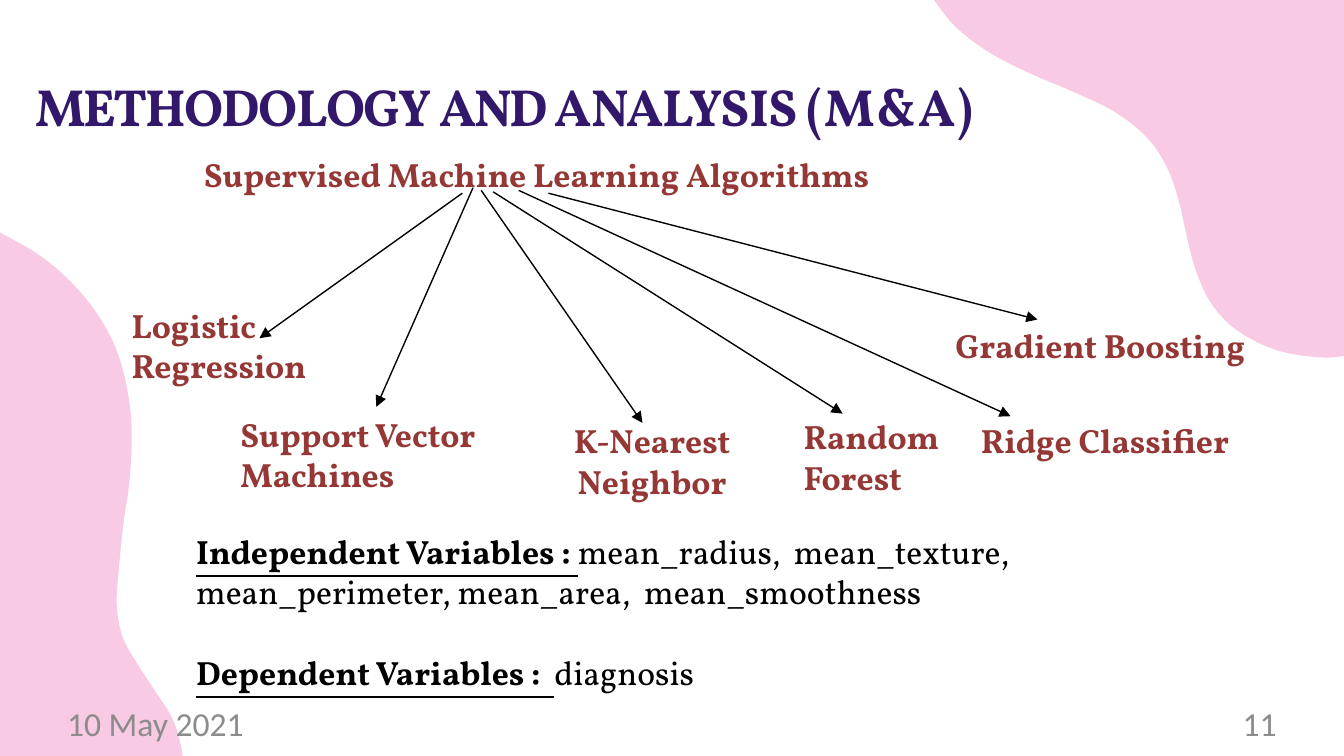
from lxml import etree
from pptx import Presentation
from pptx.dml.color import RGBColor
from pptx.enum.shapes import MSO_CONNECTOR
from pptx.enum.text import MSO_ANCHOR, MSO_AUTO_SIZE, PP_ALIGN
from pptx.oxml.ns import qn
from pptx.util import Pt

STRAIGHT = MSO_CONNECTOR.STRAIGHT
TOP = MSO_ANCHOR.TOP
NO_FIT, GROW = MSO_AUTO_SIZE.NONE, MSO_AUTO_SIZE.SHAPE_TO_FIT_TEXT
LEFT, CENTER, RIGHT = PP_ALIGN.LEFT, PP_ALIGN.CENTER, PP_ALIGN.RIGHT

PINK = RGBColor(0xF9, 0xCA, 0xE3)
PURPLE = RGBColor(0x31, 0x18, 0x6B)
BRICK = RGBColor(0x95, 0x37, 0x35)
GRAY = RGBColor(0x8C, 0x8C, 0x8C)
BLACK = RGBColor(0, 0, 0)

WIDTH, HEIGHT = 720, 405
SERIF, SANS = "Vollkorn", "Calibri"
BODY_SIZE = 18
LINE_HEIGHT = 21.7

RIGHT_WAVE = [(500.4, 0), (511.9, 14.4), (529.9, 28.1), (550.8, 38.9),
              (576, 49.7), (596.9, 59.8), (614.2, 73.4), (625, 89.3),
              (631.4, 107.3), (635.8, 126.7), (640.8, 145.4), (649.4, 163.4),
              (663.8, 177.8), (684.7, 187.9), (707, 191.5), (720, 190.8)]
LEFT_WAVE = [(0, 124.6), (20.2, 136.1), (38.2, 151.2), (53.3, 169.9),
             (63.4, 190.1), (69.1, 213.8), (70.6, 235.4), (69.1, 260.6),
             (66.2, 280.1), (63.4, 308.2), (62.6, 324.7), (65.5, 340.6),
             (72.7, 354.2), (83.5, 370.8), (92.2, 384.5), (96.5, 397.4),
             (97.9, 405)]

# name, label offset, label size, alignment, arrow start, arrow end
ALGORITHMS = [
    ("Logistic Regression", (3.4, 80.8), (124, 51), LEFT,
     (187.7, 24.7), (79, 102.4)),
    ("Support Vector Machines", (61.7, 139.2), (160.6, 51), LEFT,
     (193.4, 21.8), (141.6, 139.2)),
    ("K-Nearest Neighbor", (235.3, 142.8), (108, 51), CENTER,
     (197.8, 23.2), (284.2, 147.8)),
    ("Random Forest", (363.4, 140.6), (105.8, 51), LEFT,
     (204.2, 24), (391.4, 142.8)),
    ("Ridge Classifier", (458.4, 142.8), (159.8, 29), LEFT,
     (217.9, 23.2), (481.4, 144.2)),
    ("Gradient Boosting", (444.7, 91.6), (179.3, 29), LEFT,
     (233.8, 24.7), (495.8, 92.4)),
]

VARIABLES = [
    ("Independent Variables : ",
     "mean_radius,  mean_texture,  mean_perimeter, mean_area,  mean_smoothness"),
    ("Dependent Variables :  ", "diagnosis"),
]


def smooth(points, steps=4):
    """Return points on a Catmull-Rom curve through the given points."""
    padded = [points[0], *points, points[-1]]
    curve = [points[0]]
    for a, b, c, d in zip(padded, padded[1:], padded[2:], padded[3:]):
        for i in range(1, steps + 1):
            t = i / steps
            curve.append(tuple(
                (2 * q + (r - p) * t + (2 * p - 5 * q + 4 * r - s) * t ** 2
                 + (3 * q - p - 3 * r + s) * t ** 3) / 2
                for p, q, r, s in zip(a, b, c, d)))
    return curve


def add_wave(slide, edge, corner):
    """Fill the area between a wavy edge and a slide corner."""
    outline = [(Pt(x), Pt(y)) for x, y in smooth(edge) + [corner]]
    builder = slide.shapes.build_freeform(*outline[0])
    builder.add_line_segments(outline[1:], close=True)
    sp = builder.convert_to_shape()
    sp.shadow.inherit = False
    sp.fill.solid()
    sp.fill.fore_color.rgb = PINK
    sp.line.fill.background()


def set_font(p, size, color, name=SERIF, bold=None):
    p.font.size = Pt(size)
    p.font.name = name
    p.font.color.rgb = color
    p.font.bold = bold


def set_margins(tf, top=0):
    tf.margin_left = tf.margin_right = tf.margin_bottom = 0
    tf.margin_top = Pt(top)


def add_text_box(slide, left, top, width, height):
    box = slide.shapes.add_textbox(Pt(left), Pt(top), Pt(width), Pt(height))
    tf = box.text_frame
    tf.word_wrap = True
    tf.auto_size = GROW
    return tf


def add_title(slide, left, top, width, height):
    sp = slide.shapes.title
    sp.left, sp.top, sp.width, sp.height = map(Pt, (left, top, width, height))
    tf = sp.text_frame
    tf.auto_size = NO_FIT
    tf.vertical_anchor = TOP
    set_margins(tf, 0.7)
    p = tf.paragraphs[0]
    p.alignment = LEFT
    set_font(p, 28, PURPLE, bold=True)
    for text, spacing in (("METHODOLOGY ", -80), ("AND ", -160),
                          ("ANALYSIS ", -50), ("(M&A)", 70)):
        r = p.add_run()
        r.text = text
        r._r.get_or_add_rPr().set("spc", str(spacing))


def add_label(slide, text, left, top, width, height, align=LEFT):
    p = add_text_box(slide, left, top, width, height).paragraphs[0]
    p.text = text
    p.alignment = align
    set_font(p, BODY_SIZE, BRICK, bold=True)


def add_arrow(slide, start, end):
    line = slide.shapes.add_connector(STRAIGHT, *map(Pt, start + end))
    line.line.color.rgb = BLACK
    line.line.width = Pt(0.75)
    etree.SubElement(line.line._get_or_add_ln(), qn("a:tailEnd"), type="triangle")
    etree.SubElement(line._element.spPr, qn("a:effectLst"))


def add_algorithm_tree(slide, left, top):
    add_label(slide, "Supervised Machine Learning Algorithms",
              left + 42.2, top, 462, 29)
    for name, (x, y), size, align, _, _ in ALGORITHMS:
        add_label(slide, name, left + x, top + y, *size, align)
    for *_, (x1, y1), (x2, y2) in ALGORITHMS:
        add_arrow(slide, (left + x1, top + y1), (left + x2, top + y2))


def add_variables(slide, left, top, width, height):
    tf = add_text_box(slide, left, top, width, height)
    for i, (heading, names) in enumerate(VARIABLES):
        p = tf.add_paragraph() if i else tf.paragraphs[0]
        if i:
            p.space_before = Pt(LINE_HEIGHT)
        set_font(p, BODY_SIZE, BLACK)
        r = p.add_run()
        r.text = heading
        r.font.bold = r.font.underline = True
        p.add_run().text = names


def add_footer(slide, left, top, width, height):
    """Put the date at the left end and the slide number at the right end."""
    part = 165.6
    for text, x, align in (("10 May 2021", left, LEFT),
                           ("11", left + width - part, RIGHT)):
        tf = add_text_box(slide, x, top, part, height)
        set_margins(tf)
        p = tf.paragraphs[0]
        p.text = text
        p.alignment = align
        set_font(p, BODY_SIZE, GRAY, SANS)


def main():
    prs = Presentation()
    prs.slide_width, prs.slide_height = Pt(WIDTH), Pt(HEIGHT)
    slide = prs.slides.add_slide(prs.slide_layouts[5])
    add_wave(slide, RIGHT_WAVE, (WIDTH, 0))
    add_wave(slide, LEFT_WAVE, (0, HEIGHT))
    add_title(slide, 18.8, 39, 645, 35.3)
    add_footer(slide, 36, 376.6, 648, 20.2)
    add_algorithm_tree(slide, 60, 78.8)
    add_variables(slide, 98, 280.8, 573.8, 94.3)
    prs.save("out.pptx")


if __name__ == "__main__":
    main()
